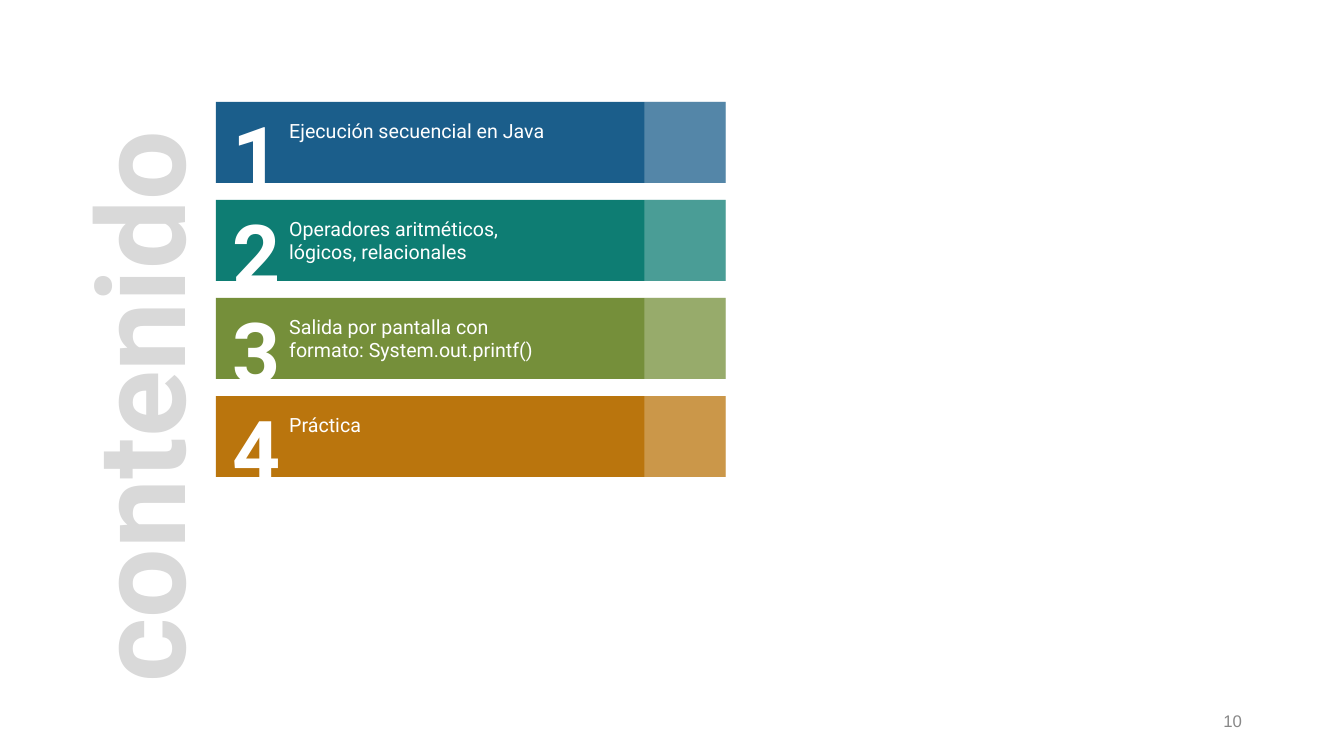
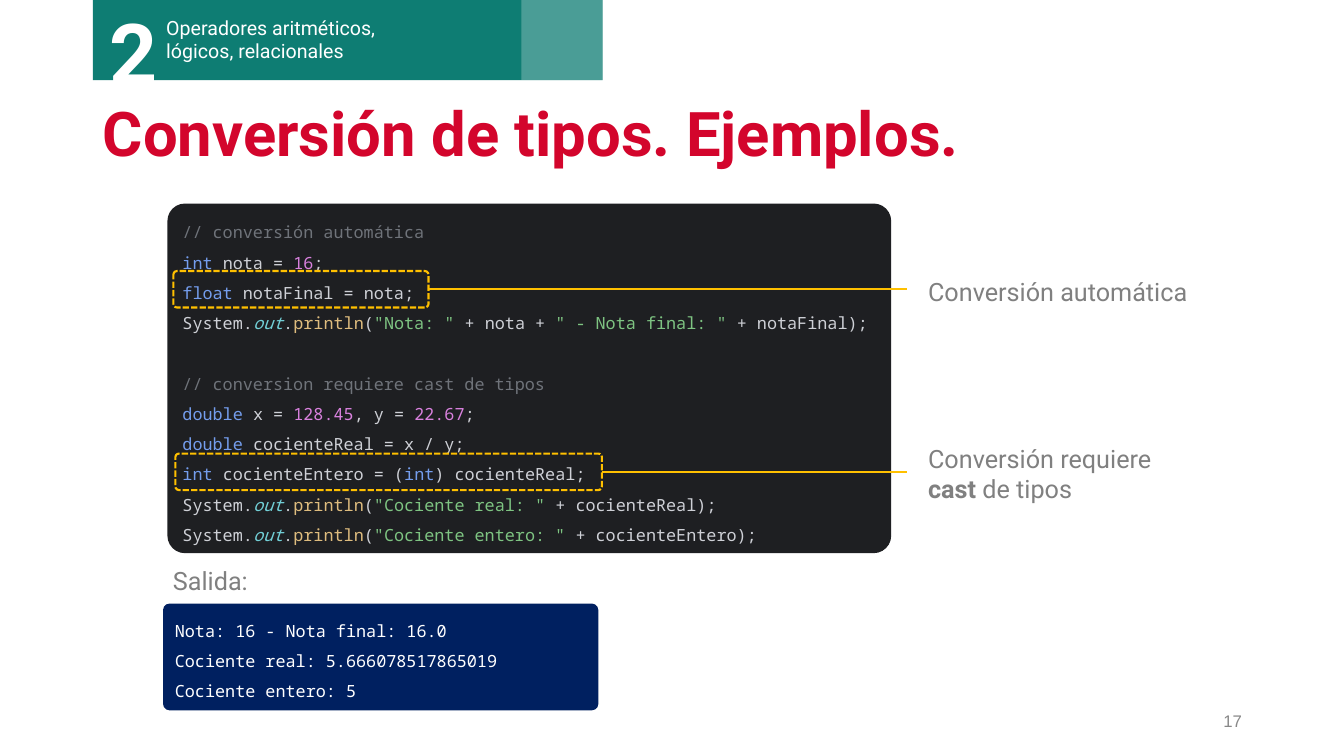
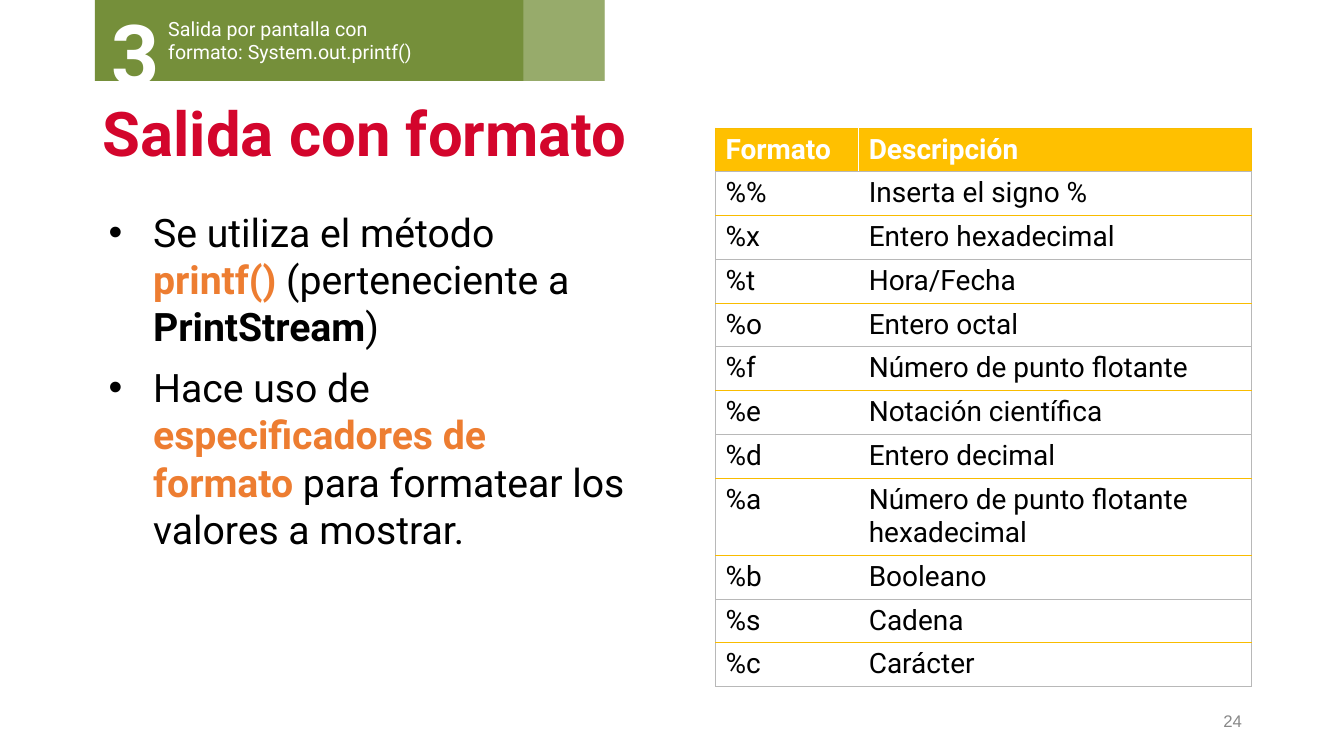
from lxml import etree
from pptx import Presentation
from pptx.dml.color import RGBColor
from pptx.enum.dml import MSO_LINE
from pptx.enum.shapes import MSO_CONNECTOR, MSO_SHAPE
from pptx.enum.text import MSO_ANCHOR, PP_ALIGN
from pptx.oxml.ns import qn
from pptx.util import Cm, Pt

RECT, ROUND = MSO_SHAPE.RECTANGLE, MSO_SHAPE.ROUNDED_RECTANGLE
STRAIGHT, DASH = MSO_CONNECTOR.STRAIGHT, MSO_LINE.SQUARE_DOT
TOP, MIDDLE, RIGHT = MSO_ANCHOR.TOP, MSO_ANCHOR.MIDDLE, PP_ALIGN.RIGHT

# Shared look
SANS, MONO = "Roboto", "Noto Sans Mono"
WHITE, BLACK, RED, GREY = "FFFFFF", "000000", "D3052C", "808080"
GOLD, EDGE, RULE, ORANGE = "FFC000", "F9BC00", "B8B8B8", "ED7D31"

# Content: chapters
TOPICS = [
    ("Ejecución secuencial en Java", "1B5E8B"),
    ("Operadores aritméticos, lógicos, relacionales", "0E7D73"),
    ("Salida por pantalla con formato: System.out.printf()", "758F3A"),
    ("Práctica", "BA750D"),
]

# Content: code, as lines of (text, colour, style)
NOTE, KEY, PLAIN, NUM = "6F737A", "749DED", "CED0D6", "D981DE"
FIELD, CALL, QUOTE = "72CFD6", "DEBC7E", "7EC482"


def show(label, rest):
    return ["System.", ("out", FIELD, "i"), ".", ("println", CALL), "(",
            (label, QUOTE), *rest]


CODE = [
    [[("// conversión automática", NOTE)],
     [("int ", KEY), "nota = ", ("16", NUM), ";"],
     [("float ", KEY), "notaFinal = nota;"],
     show('"Nota: " ', ["+ nota + ", ('" - Nota final: " ', QUOTE),
                        "+ notaFinal);"])],
    [[("// conversion requiere cast de tipos", NOTE)],
     [("double ", KEY), "x = ", ("128.45", NUM), ", y = ", ("22.67", NUM), ";"],
     [("double ", KEY), "cocienteReal = x / y;"],
     [("int ", KEY), "cocienteEntero = (", ("int", KEY), ") cocienteReal;"],
     show('"Cociente real: " ', ["+ cocienteReal);"]),
     show('"Cociente entero: " ', ["+ cocienteEntero);"])],
]
OUTPUT = ["Nota: 16 - Nota final: 16.0", "Cociente real: 5.666078517865019",
          "Cociente entero: 5"]
# Frame left, top, width; label top and text
CALLS = [
    (4.37, 6.83, 6.43, 6.83, "Conversión automática"),
    (4.42, 11.43, 10.75, 11.05,
     ["Conversión requiere ", ("cast", None, "b"), " de tipos"]),
]

# Content: formatted output
POINTS = [
    ["Se utiliza el método ", ("printf()", ORANGE, "b"), " (perteneciente a ",
     ("PrintStream", None, "b"), ")"],
    ["Hace uso de ", ("especificadores de formato", ORANGE, "b"),
     " para formatear los valores a mostrar."],
]
FORMATS = [
    ("Formato", "Descripción"),
    ("%%", "Inserta el signo %"),
    ("%x", "Entero hexadecimal"),
    ("%t", "Hora/Fecha"),
    ("%o", "Entero octal"),
    ("%f", "Número de punto flotante"),
    ("%e", "Notación científica"),
    ("%d", "Entero decimal"),
    ("%a", "Número de punto flotante hexadecimal"),
    ("%b", "Booleano"),
    ("%s", "Cadena"),
    ("%c", "Carácter"),
]
TALL = 8                        # the row with two lines
GOLDEN = (1, 3, 5, 7, 8, 10)    # rows with a gold line below


def color(code):
    return RGBColor.from_string(code)


def write(frame, paras, size, code, font=SANS, bold=False, space=None,
          align=None, anchor=TOP):
    """Fill a text frame; a paragraph is a string or a list of runs."""
    frame.word_wrap = True
    frame.vertical_anchor = anchor
    for i, runs in enumerate(paras):
        para = frame.paragraphs[0] if i == 0 else frame.add_paragraph()
        para.alignment = align
        para.line_spacing = space
        face = para.font
        face.name, face.size, face.bold = font, Pt(size), bold
        face.color.rgb = color(code)
        for part in [runs] if isinstance(runs, str) else runs:
            text, tint, style = ((part,) if isinstance(part, str) else part
                                 + ("",))[:3] if not isinstance(part, str) \
                else (part, None, "")
            run = para.add_run()
            run.text = text
            if tint:
                run.font.color.rgb = color(tint)
            if style == "b":
                run.font.bold = True
            if style == "i":
                run.font.italic = True


def label(shapes, x, y, w, h, paras, size, code, **look):
    box = shapes.add_textbox(Cm(x), Cm(y), Cm(w), Cm(h))
    write(box.text_frame, paras, size, code, **look)
    return box


def block(shapes, kind, x, y, w, h, fill=None, bend=None):
    shape = shapes.add_shape(kind, Cm(x), Cm(y), Cm(w), Cm(h))
    shape.shadow.inherit = False
    shape.line.fill.background()
    if fill:
        shape.fill.solid()
        shape.fill.fore_color.rgb = color(fill)
    else:
        shape.fill.background()
    if bend:
        shape.adjustments[0] = bend
    return shape


def band(slide, num, x, y):
    """Numbered chapter band with a pale end."""
    text, fill = TOPICS[num - 1]
    shapes = slide.shapes.add_group_shape().shapes
    block(shapes, RECT, x, y, 12.85, 2.04, fill)
    label(shapes, x + 1.6, y + 0.29, 7.1, 1.45, [text], 14, WHITE)
    label(shapes, x + 0.18, y - 0.09, 2.84, 2.82, [str(num)], 60, WHITE,
          bold=True)
    pale = block(shapes, RECT, x + 10.8, y, 2.05, 2.04, WHITE)
    tint = pale.fill._xPr.find(".//" + qn("a:srgbClr"))
    etree.SubElement(tint, qn("a:alpha"), val="25000")


def start(deck, page, title=None):
    slide = deck.slides.add_slide(deck.slide_layouts[6])
    if title:
        label(slide.shapes, 2.34, 2.36, 29.2, 2.18, [title], 44, RED,
              bold=True, space=0.9, anchor=MIDDLE)
    label(slide.shapes, 23.93, 17.65, 7.62, 1.02, [str(page)], 12, "888888",
          font="Arial", align=RIGHT, anchor=MIDDLE)
    return slide


def border(cell, side, code):
    props = cell._tc.get_or_add_tcPr()
    line = etree.SubElement(props, qn("a:" + side), w=str(Pt(0.75)))
    fill = etree.SubElement(line, qn("a:solidFill"))
    etree.SubElement(fill, qn("a:srgbClr"), val=code)


def contents(deck):
    slide = start(deck, 10)
    for i in range(len(TOPICS)):
        band(slide, i + 1, 5.44, 2.57 + 2.47 * i)
    side = label(slide.shapes, -4.32, 7.67, 15.54, 4.01, ["contenido"], 88,
                 "D9D9D9", bold=True)
    side.rotation = 270


def examples(deck):
    slide = start(deck, 17, "Conversión de tipos. Ejemplos.")
    shapes = slide.shapes

    # Output
    box = block(shapes, ROUND, 4.11, 15.21, 10.97, 2.69, "002060", 0.06)
    write(box.text_frame, OUTPUT, 12, WHITE, font=MONO, space=1.5)
    label(shapes, 4.11, 14.12, 5.61, 1.02, ["Salida:"], 18, GREY)

    # Code
    box = block(shapes, ROUND, 4.22, 5.13, 18.24, 8.81, "1E1F22", 0.05)
    write(box.text_frame, CODE[0] + CODE[1], 12, PLAIN, font=MONO, space=1.5,
          anchor=MIDDLE)
    box.text_frame.paragraphs[len(CODE[0])].space_before = Pt(21.6)

    # Callouts
    for x, y, w, top, text in CALLS:
        high = 0.92
        ring = block(shapes, ROUND, x, y, w, high, bend=0.1)
        link = shapes.add_connector(STRAIGHT, Cm(x + w), Cm(y + high / 2),
                                    Cm(22.86), Cm(y + high / 2))
        link.begin_connect(ring, 3)
        etree.SubElement(link._element.spPr, qn("a:effectLst"))
        for item in (ring, link):
            item.line.color.rgb = color(GOLD)
            item.line.width = Pt(1.5)
        ring.line.dash_style = DASH
        label(shapes, 23.14, top, 7.32, 1.02, [text], 18, GREY)
    band(slide, 2, 2.34, -0.02)


def formats(deck):
    slide = start(deck, 24, "Salida con formato")
    band(slide, 3, 2.39, 0)

    # Bullets
    body = slide.shapes.add_textbox(Cm(2.34), Cm(5.13), Cm(13.72), Cm(12.14))
    frame = body.text_frame
    for i in range(len(POINTS)):
        para = frame.paragraphs[0] if i == 0 else frame.add_paragraph()
        props = para._p.get_or_add_pPr()
        props.set("marL", str(Cm(1.27)))
        props.set("indent", str(Cm(-1.12)))
        etree.SubElement(props, qn("a:buFont"), typeface="Arial")
        etree.SubElement(props, qn("a:buChar"), char="•")
        if i:
            para.space_before = Pt(10)
    fill_points(frame)

    # Table
    grid = slide.shapes.add_table(len(FORMATS), 2, Cm(18.03), Cm(3.23),
                                  Cm(13.51), Cm(13.9)).table
    grid.columns[0].width, grid.columns[1].width = Cm(3.61), Cm(9.9)
    for i, row in enumerate(FORMATS):
        grid.rows[i].height = Cm(1.92 if i == TALL else 1.08)
        above = EDGE if i - 1 in GOLDEN or i == 0 else RULE
        below = EDGE if i in GOLDEN else RULE
        for j, text in enumerate(row):
            cell = grid.cell(i, j)
            write(cell.text_frame, [text], 20, BLACK if i else WHITE,
                  bold=i == 0)
            if j == 0:
                border(cell, "lnL", RULE if i else EDGE)
            else:
                border(cell, "lnR", RULE if i else EDGE)
            border(cell, "lnT", above)
            border(cell, "lnB", below)
            cell.fill.solid()
            cell.fill.fore_color.rgb = color(WHITE if i else GOLD)


def fill_points(frame):
    frame.word_wrap = True
    for para, runs in zip(frame.paragraphs, POINTS):
        face = para.font
        face.name, face.size, face.bold = SANS, Pt(28), False
        face.color.rgb = color(BLACK)
        for part in runs:
            run = para.add_run()
            run.text = part if isinstance(part, str) else part[0]
            if not isinstance(part, str):
                run.font.bold = True
                run.font.color.rgb = color(part[1] or BLACK)


def main():
    deck = Presentation()
    deck.slide_width, deck.slide_height = Cm(33.87), Cm(19.05)
    contents(deck)
    examples(deck)
    formats(deck)
    deck.save("out.pptx")


if __name__ == "__main__":
    main()
